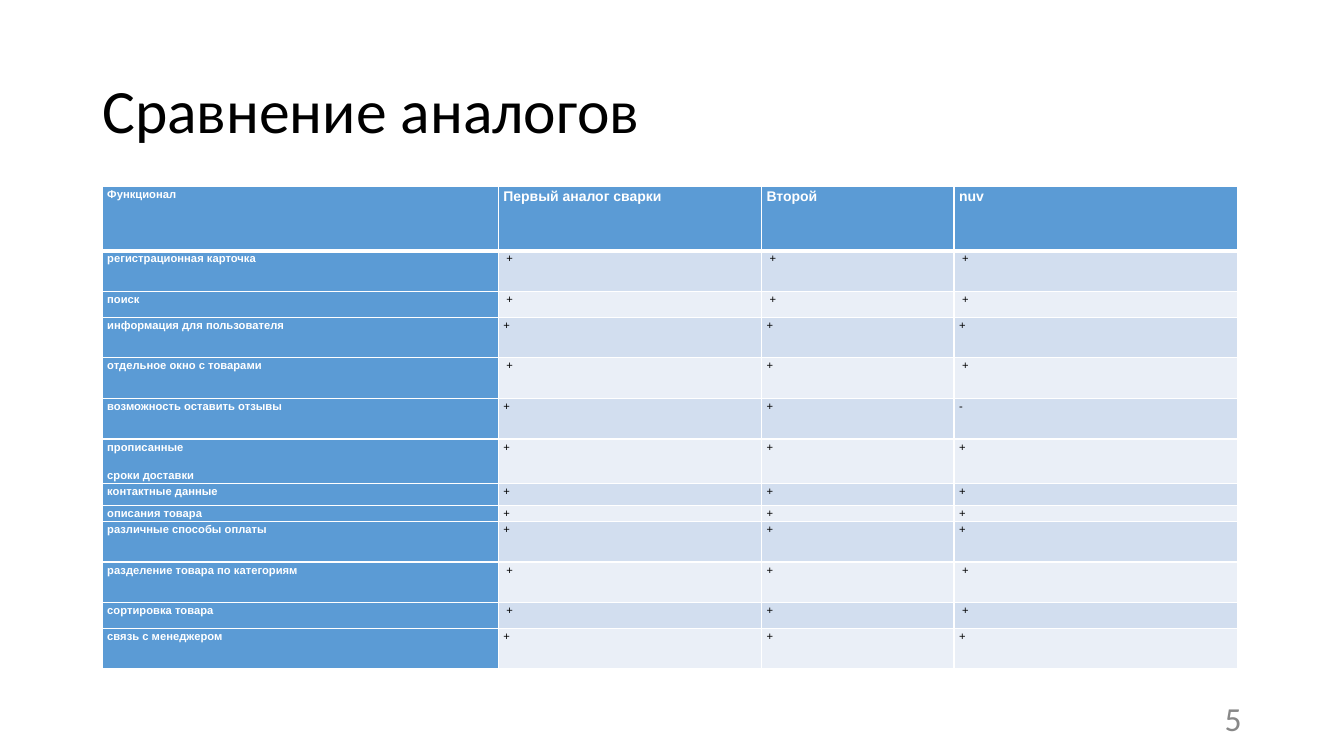
from lxml import etree
from pptx import Presentation
from pptx import util as u
from pptx.dml import color
from pptx.enum import text
from pptx.oxml import ns

WHITE, BLACK, GRAY = "FFFFFF", "000000", "888888"
BLUE, BANDS = "5B9BD5", ("D2DEEF", "EAEFF7")
COLUMN_WIDTHS = (283, 188, 137.5, 202.8)
TALL, SHORT = 29, 18.4

HEADER = ("Функционал", "Первый аналог сварки", "Второй", "nuv")
FEATURES = [
    ("регистрационная карточка", TALL, (" +", " +", " +")),
    ("поиск", SHORT, (" +", " +", " +")),
    ("информация для пользователя", TALL, ("+", "+", "+")),
    ("отдельное окно с товарами", TALL, (" +", "+", " +")),
    ("возможность оставить отзывы", TALL, ("+", "+", "-")),
    ("прописанные\nсроки доставки", 29.5, ("+", "+", "+")),
    ("контактные данные", 15.4, ("+", "+", "+")),
    ("описания товара", 11.5, ("+", "+", "+")),
    ("различные способы оплаты", TALL, ("+", "+", "+")),
    ("разделение товара по категориям", TALL, (" +", "+", " +")),
    ("сортировка товара", SHORT, (" +", "+", " +")),
    ("связь с менеджером", TALL, ("+", "+", "+")),
]


def rgb(value):
    return color.RGBColor.from_string(value)


def add_run(paragraph, words, size, font, colour, bold=False):
    run = paragraph.add_run()
    run.text = words
    run.font.size = u.Pt(size)
    run.font.name = font
    run.font.bold = bold
    run.font.color.rgb = rgb(colour)


def add_label(slide, words, box, size, colour, align):
    shape = slide.shapes.add_textbox(*(u.Pt(length) for length in box))
    frame = shape.text_frame
    frame.word_wrap = True
    frame.vertical_anchor = text.MSO_ANCHOR.MIDDLE
    paragraph = frame.paragraphs[0]
    paragraph.alignment = align
    paragraph.line_spacing = 0.9
    add_run(paragraph, words, size, "Calibri", colour)


def set_borders(cell, top, bottom):
    properties = cell._tc.get_or_add_tcPr()
    for side, width in (("L", 1), ("R", 1), ("T", top), ("B", bottom)):
        line = etree.SubElement(properties, ns.qn("a:ln" + side), w=str(u.Pt(width)))
        fill = etree.SubElement(line, ns.qn("a:solidFill"))
        etree.SubElement(fill, ns.qn("a:srgbClr"), val=WHITE)


def fill_cell(cell, words, size, colour, bold, background):
    cell.margin_left = cell.margin_right = u.Pt(3.6)
    cell.margin_top = cell.margin_bottom = 0
    cell.fill.solid()
    cell.fill.fore_color.rgb = rgb(background)
    frame = cell.text_frame
    for index, line in enumerate(words.split("\n")):
        paragraph = frame.add_paragraph() if index else frame.paragraphs[0]
        paragraph.alignment = text.PP_ALIGN.JUSTIFY
        paragraph.line_spacing = 1.15
        paragraph.space_after = u.Pt(10)
        add_run(paragraph, line, size, "Arial", colour, bold)


def add_comparison(slide):
    rows = [(46, HEADER)] + [(height, (name, *marks)) for name, height, marks in FEATURES]
    table = slide.shapes.add_table(
        len(rows), len(COLUMN_WIDTHS), u.Pt(73), u.Pt(133.2),
        u.Pt(sum(COLUMN_WIDTHS)), u.Pt(sum(height for height, _ in rows)),
    ).table
    for column, width in zip(table.columns, COLUMN_WIDTHS):
        column.width = u.Pt(width)
    for r, (height, words) in enumerate(rows):
        table.rows[r].height = u.Pt(height)
        for c, content in enumerate(words):
            cell = table.cell(r, c)
            set_borders(cell, top=3 if r == 1 else 1, bottom=3 if r == 0 else 1)
            heading = r == 0 or c == 0
            fill_cell(
                cell, content,
                size=10 if r == 0 and c > 0 else 8,
                colour=WHITE if heading else BLACK,
                bold=heading,
                background=BLUE if heading else BANDS[(r - 1) % 2],
            )


def main():
    presentation = Presentation()
    presentation.slide_width, presentation.slide_height = u.Pt(960), u.Pt(540)
    slide = presentation.slides.add_slide(presentation.slide_layouts[6])
    add_label(slide, "Сравнение аналогов", (66, 28.75, 828, 104.4), 44, BLACK,
              text.PP_ALIGN.LEFT)
    add_label(slide, "5", (678, 500.5, 216, 28.75), 24, GRAY, text.PP_ALIGN.RIGHT)
    add_comparison(slide)
    presentation.save("out.pptx")


if __name__ == "__main__":
    main()
